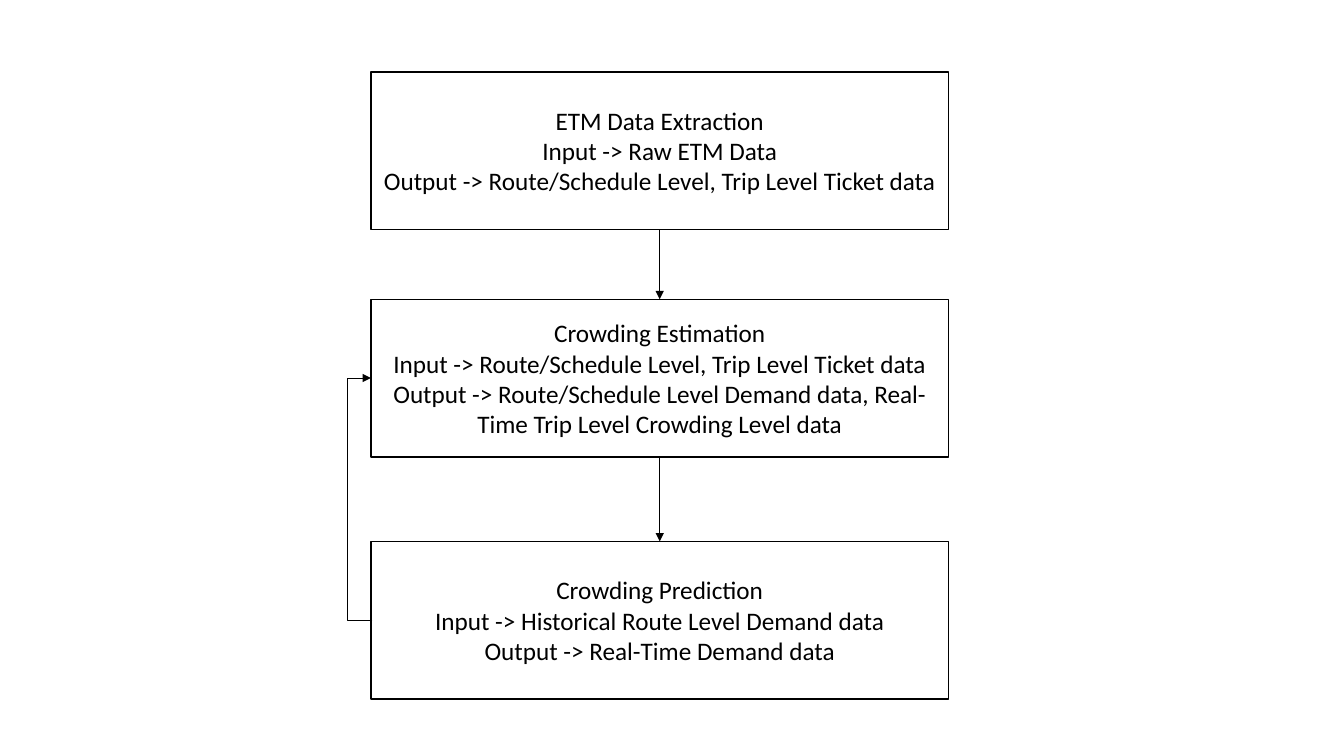
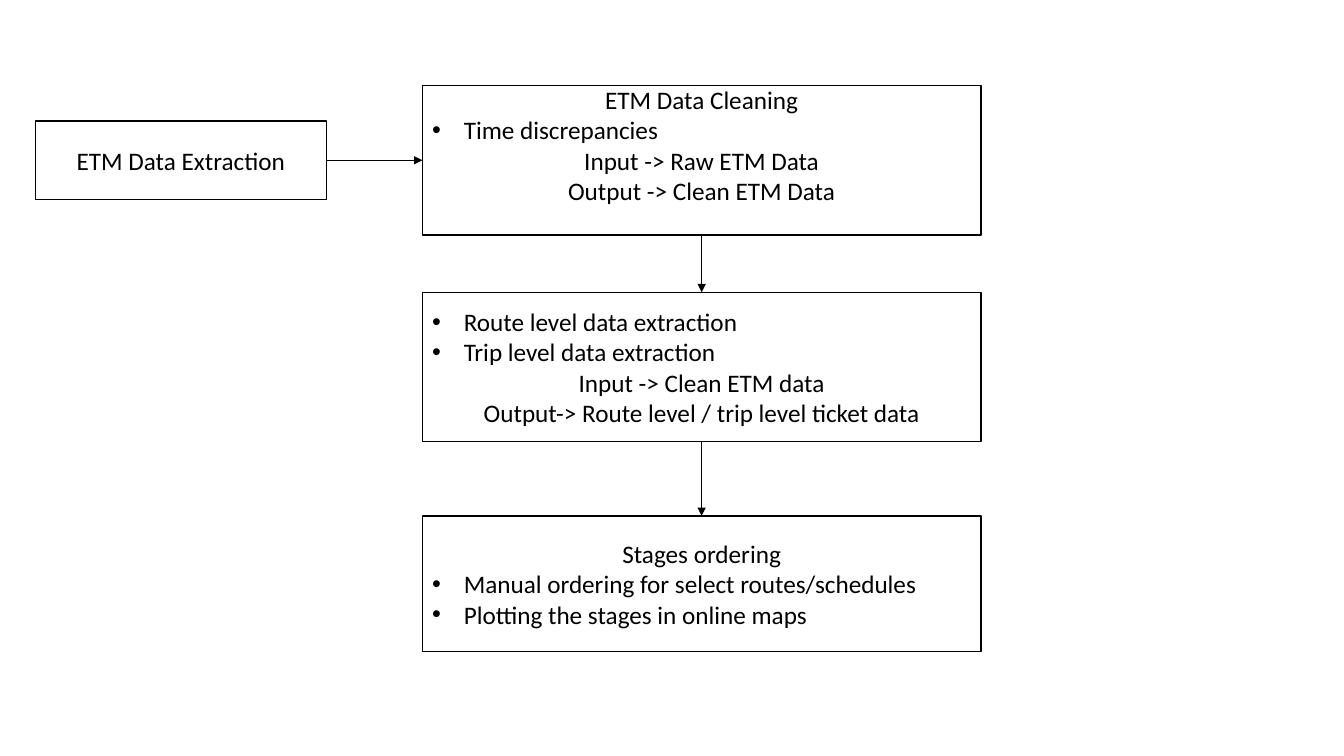
from dataclasses import dataclass
from itertools import pairwise

from lxml import etree
from pptx import Presentation
from pptx.dml.color import RGBColor
from pptx.enum.shapes import MSO_CONNECTOR, MSO_SHAPE
from pptx.enum.text import MSO_ANCHOR, PP_ALIGN
from pptx.oxml.ns import qn
from pptx.shapes.autoshape import Shape
from pptx.shapes.connector import Connector
from pptx.slide import Slide
from pptx.util import Pt

BLACK = RGBColor(0, 0, 0)
WHITE = RGBColor(255, 255, 255)
FONT = "Calibri"
PROCESS = MSO_SHAPE.FLOWCHART_PROCESS
STRAIGHT, ELBOW = MSO_CONNECTOR.STRAIGHT, MSO_CONNECTOR.ELBOW
MIDDLE = MSO_ANCHOR.MIDDLE
LEFT, CENTER = PP_ALIGN.LEFT, PP_ALIGN.CENTER
TOP, WEST, BOTTOM, EAST = range(4)
INDENT = Pt(22.5)


@dataclass(frozen=True)
class Line:
    text: str
    bullet: bool = False


@dataclass(frozen=True)
class Box:
    left: float
    top: float
    width: float
    height: float
    lines: tuple[Line, ...]
    pads: tuple[float, float] = (3.6, 3.6)


def write(para, text: str, *, size: float = 18, color: RGBColor = BLACK,
          bullet: bool = False) -> None:
    para.alignment = LEFT if bullet else CENTER
    run = para.add_run()
    run.text = text
    run.font.name = FONT
    run.font.size = Pt(size)
    run.font.color.rgb = color
    if bullet:
        props = para._p.get_or_add_pPr()
        props.set("marL", str(INDENT))
        props.set("indent", str(-INDENT))
        etree.SubElement(props, qn("a:buFont")).set("typeface", "Arial")
        etree.SubElement(props, qn("a:buChar")).set("char", "•")


def draw(slide: Slide, box: Box) -> Shape:
    shape = slide.shapes.add_shape(
        PROCESS, Pt(box.left), Pt(box.top), Pt(box.width), Pt(box.height))
    shape.shadow.inherit = False
    shape.fill.solid()
    shape.fill.fore_color.rgb = WHITE
    shape.line.color.rgb = BLACK
    shape.line.width = Pt(1)
    frame = shape.text_frame
    frame.word_wrap = True
    frame.vertical_anchor = MIDDLE
    frame.margin_top, frame.margin_bottom = map(Pt, box.pads)
    for i, line in enumerate(box.lines):
        para = frame.add_paragraph() if i else frame.paragraphs[0]
        write(para, line.text, bullet=line.bullet)
    return shape


def style(link: Connector) -> None:
    link.line.color.rgb = BLACK
    link.line.width = Pt(0.5)
    tail = etree.SubElement(link.line._get_or_add_ln(), qn("a:tailEnd"))
    tail.set("type", "triangle")
    etree.SubElement(link._element.spPr, qn("a:effectLst"))


def join(slide: Slide, start: Shape, end: Shape,
         out: int = BOTTOM, into: int = TOP) -> None:
    link = slide.shapes.add_connector(STRAIGHT, 0, 0, 0, 0)
    link.begin_connect(start, out)
    link.end_connect(end, into)
    style(link)


def loop(slide: Slide, start: Box, end: Box, reach: float) -> None:
    link = slide.shapes.add_connector(
        ELBOW, Pt(start.left + 1), Pt(start.top + start.height / 2),
        Pt(end.left), Pt(end.top + end.height / 2))
    guide = etree.SubElement(
        link._element.spPr.find(qn("a:prstGeom")).find(qn("a:avLst")),
        qn("a:gd"))
    guide.set("name", "adj1")
    guide.set("fmla", f"val {round(reach * 100000)}")
    style(link)


def chain(slide: Slide, boxes: list[Box]) -> list[Shape]:
    shapes = [draw(slide, box) for box in boxes]
    for start, end in pairwise(shapes):
        join(slide, start, end)
    return shapes


STEPS = [
    Box(265, 51.3, 412.5, 112.5, (
        Line("ETM Data Extraction"),
        Line("Input -> Raw ETM Data"),
        Line("Output -> Route/Schedule Level, Trip Level Ticket data"))),
    Box(265, 213.8, 412.5, 112.5, (
        Line("Crowding Estimation"),
        Line("Input -> Route/Schedule Level, Trip Level Ticket data"),
        Line("Output -> Route/Schedule Level Demand data, "
             "Real-Time Trip Level Crowding Level data"))),
    Box(265, 386.7, 412.5, 112.5, (
        Line("Crowding Prediction"),
        Line("Input -> Historical Route Level Demand data"),
        Line("Output -> Real-Time Demand data"))),
]

SOURCE = Box(25.2, 86.5, 208, 56, (Line("ETM Data Extraction"),))

STAGES = [
    Box(301.7, 61.2, 399, 106.6, (
        Line("ETM Data Cleaning"),
        Line("Time discrepancies", True),
        Line("Input -> Raw ETM Data"),
        Line("Output -> Clean ETM Data")), (0, 22)),
    Box(301.7, 208.8, 399, 106.6, (
        Line("Route level data extraction", True),
        Line("Trip level data extraction", True),
        Line("Input -> Clean ETM data"),
        Line("Output-> Route level / trip level ticket data"))),
    Box(301.7, 368.5, 399, 96.8, (
        Line("Stages ordering"),
        Line("Manual ordering for select routes/schedules", True),
        Line("Plotting the stages in online maps", True))),
]


def main() -> None:
    deck = Presentation()
    deck.slide_width, deck.slide_height = Pt(960), Pt(540)
    blank = deck.slide_layouts[6]

    flow = deck.slides.add_slide(blank)
    chain(flow, STEPS)
    loop(flow, STEPS[2], STEPS[1], 18)

    detail = deck.slides.add_slide(blank)
    origin = draw(detail, SOURCE)
    stages = chain(detail, STAGES)
    join(detail, origin, stages[0], EAST, WEST)

    deck.save("out.pptx")


if __name__ == "__main__":
    main()
